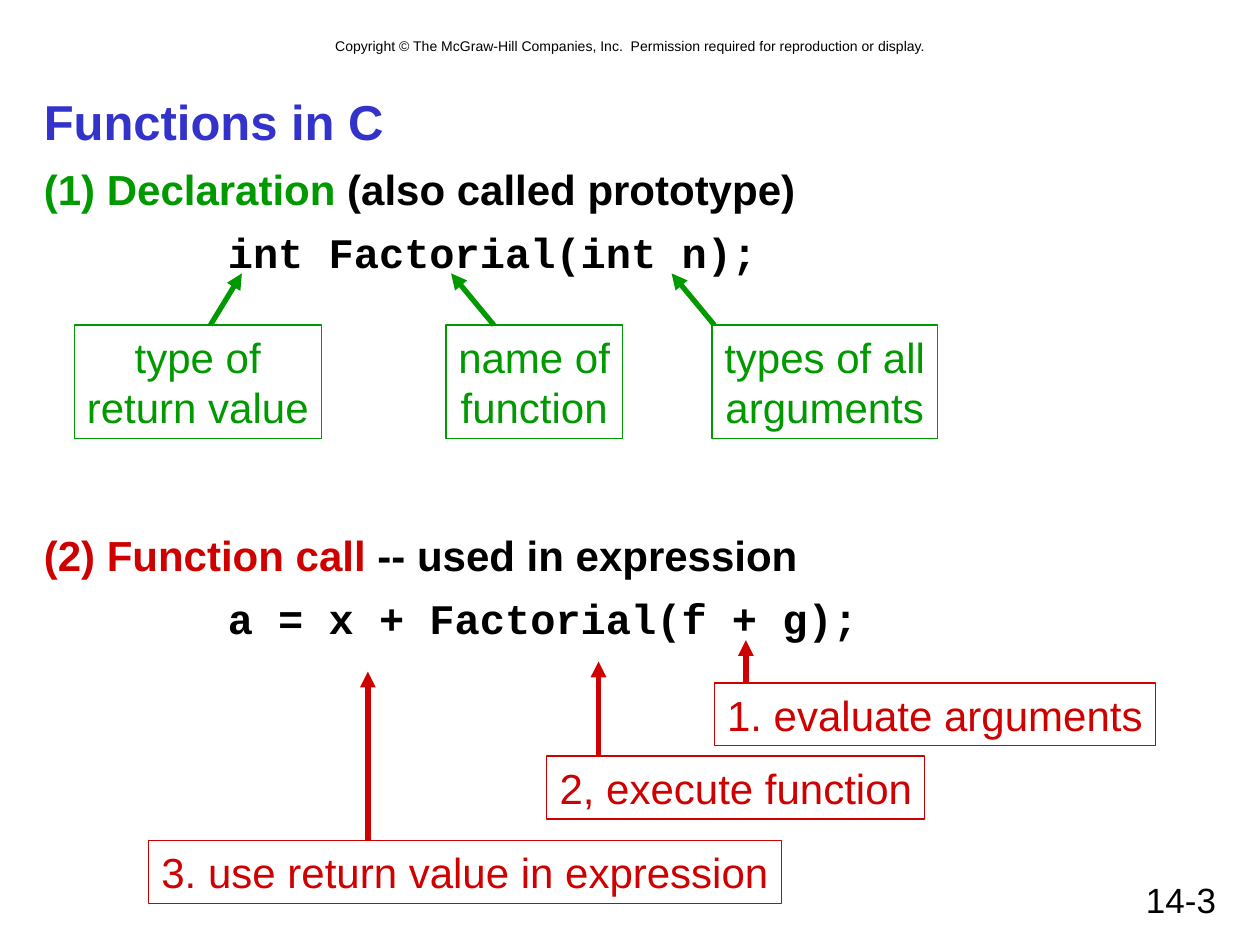
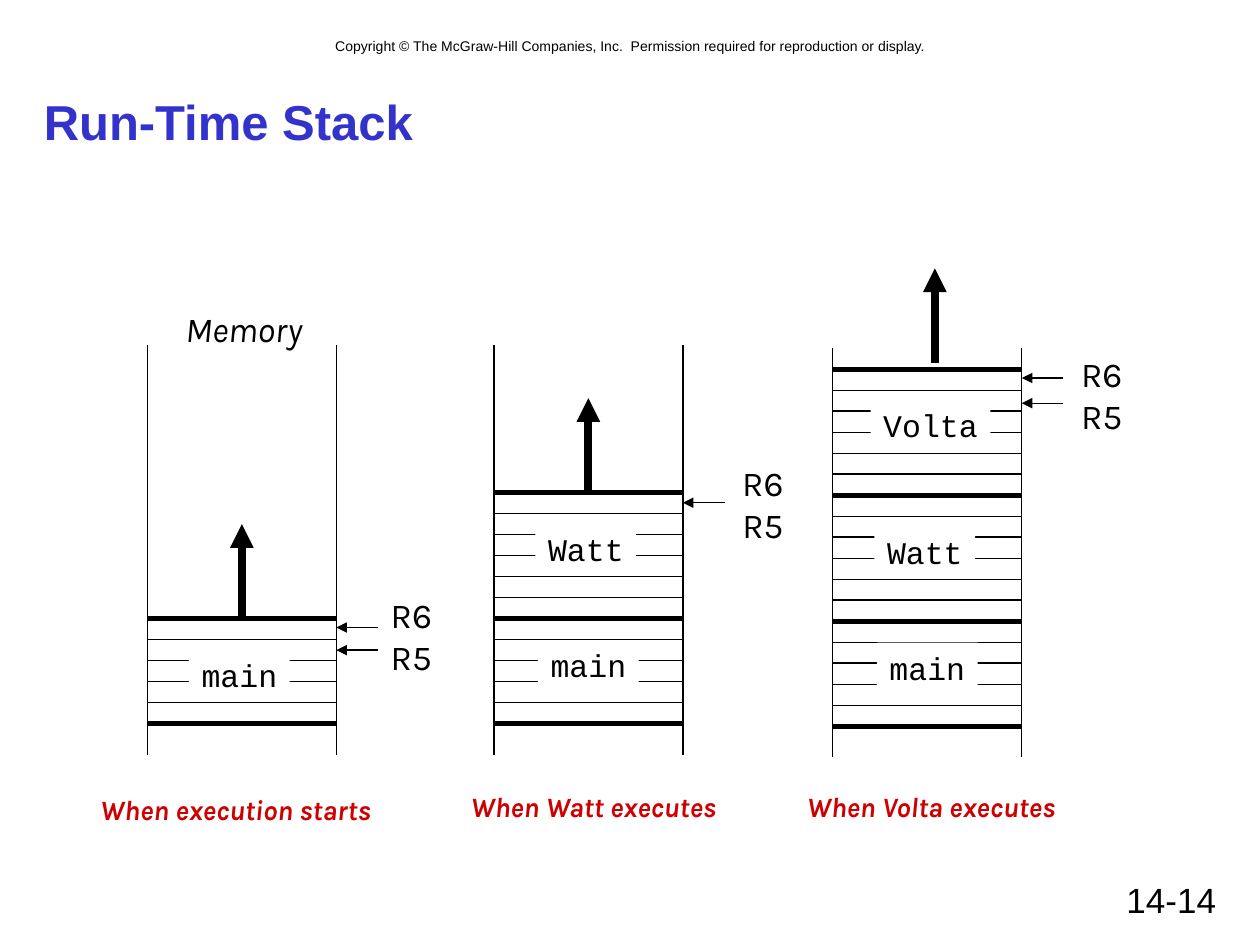
from lxml import etree
from pptx import Presentation
from pptx.dml.color import RGBColor
from pptx.enum.shapes import MSO_CONNECTOR, MSO_SHAPE
from pptx.enum.text import MSO_ANCHOR, PP_ALIGN
from pptx.oxml.ns import qn
from pptx.util import Inches, Pt

BLACK, WHITE, BLUE, GREEN, RED = "000000", "FFFFFF", "3333CC", "009900", "CE0000"
SANS, MONO, HAND = "Arial", "Courier New", "Karla"
LEFT, MID, RIGHT = PP_ALIGN.LEFT, PP_ALIGN.CENTER, PP_ALIGN.RIGHT
NOTICE = ("Copyright © The McGraw-Hill Companies, Inc.  "
          "Permission required for reproduction or display.")
ROW = 1 / 6
WIDE = 1.5


def color(code):
    return RGBColor.from_string(code)


def add_run(para, text, size, font=SANS, ink=BLACK, bold=False, italic=False):
    run = para.add_run()
    run.text = text
    run.font.size = Pt(size)
    run.font.name = font
    run.font.color.rgb = color(ink)
    run.font.bold = bold
    run.font.italic = italic


def fill_text(shape, text, size, align=MID, wrap=False, anchor=MSO_ANCHOR.TOP, **style):
    """Write text into a shape, with a line break at each newline."""
    frame = shape.text_frame
    frame.word_wrap = wrap
    frame.vertical_anchor = anchor
    para = frame.paragraphs[0]
    para.alignment = align
    for i, part in enumerate(text.split("\n")):
        if i:
            para.add_line_break()
        add_run(para, part, size, **style)


def add_label(slide, area, text, size, **style):
    box = slide.shapes.add_textbox(*map(Inches, area))
    fill_text(box, text, size, **style)


def add_box(slide, area, text, size, fill=None, edge=None, **style):
    box = slide.shapes.add_shape(MSO_SHAPE.RECTANGLE, *map(Inches, area))
    box.shadow.inherit = False
    if fill:
        box.fill.solid()
        box.fill.fore_color.rgb = color(fill)
    else:
        box.fill.background()
    if edge:
        box.line.color.rgb = color(edge)
        box.line.width = Pt(0.75)
    else:
        box.line.fill.background()
    fill_text(box, text, size, **style)


def add_line(slide, start, end, width=0.75, ink=BLACK, arrow=False):
    line = slide.shapes.add_connector(
        MSO_CONNECTOR.STRAIGHT, *map(Inches, (*start, *end)))
    line.line.color.rgb = color(ink)
    line.line.width = Pt(width)
    if arrow:
        etree.SubElement(line.line._get_or_add_ln(), qn("a:tailEnd"), type="triangle")
    etree.SubElement(line._element.spPr, qn("a:effectLst"))


def add_topic(slide, top, lead, rest, code, ink):
    """Add a heading in two colours with an indented line of code below."""
    box = slide.shapes.add_textbox(*map(Inches, (0.25, top, 9.5, 1.1)))
    frame = box.text_frame
    frame.word_wrap = True
    head = frame.paragraphs[0]
    add_run(head, lead, 24, ink=ink, bold=True)
    add_run(head, rest, 24, bold=True)
    para = frame.add_paragraph()
    para.space_before = Pt(7.2)
    para._p.get_or_add_pPr().set("marL", str(Inches(1.46)))
    add_run(para, code, 24, font=MONO, bold=True)


def add_note(slide, area, text, ink, start, end):
    """Add a framed note and the arrow that leads from it to the code."""
    add_box(slide, area, text, 24, edge=ink, ink=ink)
    add_line(slide, start, end, 3, ink, arrow=True)


def add_stack(slide, left, base, frames):
    """Draw the memory walls and frames; base is the top of the main frame."""
    right = left + WIDE
    for x in (left, right):
        add_line(slide, (x, base - 2.17), (x, base + 1.08))
    add_line(slide, (left, base + 5 * ROW), (right, base + 5 * ROW), 3)
    for i in range(len(frames)):
        top = base - i
        for row in range(6 if i else 5):
            y = top + row * ROW
            add_line(slide, (left, y), (right, y), 0.75 if row else 3)
    for i, (name, dx, dy) in enumerate(frames):
        area = (left + dx, base - i + dy, 0.2 + 0.15 * len(name), 0.4)
        add_box(slide, area, name, 18, fill=WHITE, font=MONO)


def add_marks(slide, wall, text_left, text_top, tips):
    """Name the two registers and point at the wall at each height in tips."""
    for i, name in enumerate(("R6", "R5")):
        add_label(slide, (text_left, text_top + i / 3, 0.53, 0.44), name, 20, font=HAND)
    for y in tips:
        add_line(slide, (wall + 0.33, y), (wall, y), arrow=True)


def new_slide(deck, title, number):
    slide = deck.slides.add_slide(deck.slide_layouts[6])
    add_label(slide, (0.67, 0.25, 8.67, 0.24), NOTICE, 8, wrap=True)
    add_label(slide, (7.17, 6.92, 2.58, 0.42), number, 20, align=RIGHT, wrap=True)
    add_label(slide, (0.25, 0.67, 9.5, 0.58), title, 28, align=LEFT, wrap=True,
              anchor=MSO_ANCHOR.MIDDLE, ink=BLUE, bold=True)
    return slide


def functions_slide(deck):
    slide = new_slide(deck, "Functions in C", "14-3")
    add_topic(slide, 1.25, "(1) Declaration", " (also called prototype)",
              "int Factorial(int n);", GREEN)
    add_topic(slide, 4.15, "(2) Function call", " -- used in expression",
              "a = x + Factorial(f + g);", RED)
    parts = (
        (0.59, 1.96, "type of\nreturn value", 1.67, 1.92),
        (3.54, 1.4, "name of\nfunction", 3.92, 3.58),
        (5.65, 1.79, "types of all\narguments", 5.67, 5.33),
    )
    for left, width, text, start, end in parts:
        add_note(slide, (left, 2.58, width, 0.9), text, GREEN, (start, 2.58), (end, 2.17))
    steps = (
        (5.67, 5.42, 3.5, "1. evaluate arguments", 5.92, 5.08),
        (4.34, 6, 3, "2, execute function", 4.75, 5.25),
        (1.18, 6.67, 5.02, "3. use return value in expression", 2.92, 5.33),
    )
    for left, top, width, text, x, tip in steps:
        add_note(slide, (left, top, width, 0.5), text, RED, (x, top), (x, tip))


def stack_slide(deck):
    slide = new_slide(deck, "Run-Time Stack", "14-14")
    add_label(slide, (1.33, 2.39, 1.21, 0.44), "Memory", 20, font=HAND, italic=True)
    main_low, main_high = ("main", 0.33, 0.25), ("main", 0.35, 0.17)
    watt, volta = ("Watt", 0.33, 0.25), ("Volta", 0.3, 0.24)
    add_stack(slide, 1.17, 4.91, [main_low])
    add_stack(slide, 3.92, 4.91, [main_high, watt])
    add_stack(slide, 6.61, 4.93, [main_high, watt, volta])
    for x, y in ((1.92, 4.91), (4.67, 3.91), (7.42, 2.88)):
        add_line(slide, (x, y), (x, y - 0.75), 4.5, arrow=True)
    add_marks(slide, 2.67, 3, 4.66, (4.98, 5.16))
    add_marks(slide, 5.42, 5.79, 3.61, (3.99,))
    add_marks(slide, 8.11, 8.48, 2.75, (3, 3.2))
    captions = (
        (0.6, 6.24, 2.54, "When execution starts"),
        (3.54, 6.22, 2.34, "When Watt executes"),
        (6.2, 6.22, 2.38, "When Volta executes"),
    )
    for left, top, width, text in captions:
        add_label(slide, (left, top, width, 0.37), text, 16,
                  font=HAND, ink=RED, bold=True, italic=True)


def main():
    deck = Presentation()
    deck.slide_width, deck.slide_height = Inches(10), Inches(7.5)
    functions_slide(deck)
    stack_slide(deck)
    deck.save("out.pptx")


if __name__ == "__main__":
    main()
